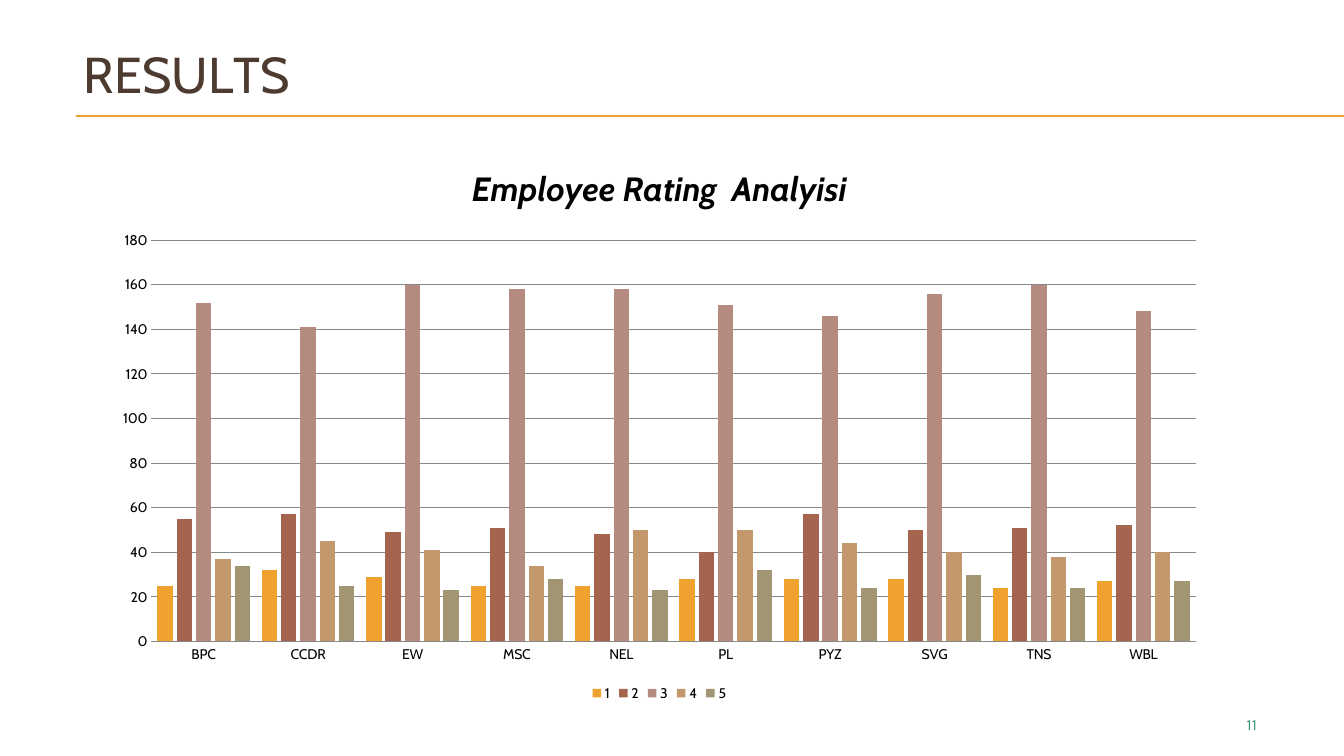
from pptx import Presentation
from pptx.chart.data import CategoryChartData
from pptx.dml.color import RGBColor
from pptx.enum.chart import XL_CHART_TYPE, XL_LEGEND_POSITION, XL_TICK_MARK
from pptx.enum.shapes import MSO_CONNECTOR
from pptx.enum.text import MSO_ANCHOR
from pptx.oxml.ns import qn
from pptx.util import Inches, Pt
from lxml import etree

COLUMNS = XL_CHART_TYPE.COLUMN_CLUSTERED
BOTTOM = XL_LEGEND_POSITION.BOTTOM
NO_TICK = XL_TICK_MARK.NONE
STRAIGHT = MSO_CONNECTOR.STRAIGHT
TOP, MIDDLE = MSO_ANCHOR.TOP, MSO_ANCHOR.MIDDLE

BLACK = RGBColor(0x00, 0x00, 0x00)
BROWN = RGBColor(0x4E, 0x3B, 0x30)
GREEN = RGBColor(0x2D, 0x93, 0x6B)
GREY = RGBColor(0x87, 0x87, 0x87)
AMBER = RGBColor(0xF0, 0xA2, 0x2E)
RUST = RGBColor(0xA5, 0x64, 0x4E)
ROSE = RGBColor(0xB5, 0x8B, 0x80)
TAN = RGBColor(0xC3, 0x98, 0x6D)
OLIVE = RGBColor(0xA1, 0x95, 0x74)

UNITS = ["BPC", "CCDR", "EW", "MSC", "NEL", "PL", "PYZ", "SVG", "TNS", "WBL"]
RATINGS = [
    ("1", AMBER, [25, 32, 29, 25, 25, 28, 28, 28, 24, 27]),
    ("2", RUST, [55, 57, 49, 51, 48, 40, 57, 50, 51, 52]),
    ("3", ROSE, [152, 141, 160, 158, 158, 151, 146, 156, 160, 148]),
    ("4", TAN, [37, 45, 41, 34, 50, 50, 44, 40, 38, 40]),
    ("5", OLIVE, [34, 25, 23, 28, 23, 32, 24, 30, 24, 27]),
]


class Deck:
    COLS, ROWS = 160, 90
    HEAD_FONT, NUMBER_FONT = "Cabin", "Karla"

    def __init__(self):
        self.prs = Presentation()
        self.prs.slide_width, self.prs.slide_height = Inches(13.33), Inches(7.5)
        self.s = self.prs.slides.add_slide(self.prs.slide_layouts[6])

    def grid(self, col, row):
        return (int(self.prs.slide_width * col / self.COLS),
                int(self.prs.slide_height * row / self.ROWS))

    def set_font(self, font, name, size, color):
        font.name, font.size = name, Pt(size)
        font.color.rgb = color

    def rule(self, row, color):
        line = self.s.shapes.add_connector(
            STRAIGHT, *self.grid(9, row), *self.grid(self.COLS, row))
        line.line.color.rgb = color
        line.line.width = Pt(0.75)
        etree.SubElement(line._element.spPr, qn("a:effectLst"))

    def text(self, col, row, cols, rows, runs, font, size, color, anchor=TOP):
        sp = self.s.shapes.add_textbox(*self.grid(col, row), *self.grid(cols, rows))
        tf = sp.text_frame
        tf.word_wrap = True
        tf.vertical_anchor = anchor
        tf.margin_left = tf.margin_right = tf.margin_bottom = 0
        tf.margin_top = Inches(0.01)
        p = tf.paragraphs[0]
        self.set_font(p.font, font, size, color)
        for words, spacing in runs:
            r = p.add_run()
            r.text = words
            r.font._element.set("spc", str(int(spacing * 100)))
        return p

    def column_chart(self, col, row, cols, rows, title, cats, series):
        data = CategoryChartData()
        data.categories = cats
        for name, _, values in series:
            data.add_series(name, values)
        chart = self.s.shapes.add_chart(
            COLUMNS, *self.grid(col, row), *self.grid(cols, rows), data).chart
        self.set_font(chart.font, self.HEAD_FONT, 10, BLACK)
        chart.has_title = True
        chart.chart_title.include_in_layout = False
        p = chart.chart_title.text_frame.paragraphs[0]
        p.text = title
        self.set_font(p.font, self.HEAD_FONT, 24, BLACK)
        p.font.bold = p.font.italic = True
        chart.has_legend = True
        chart.legend.position = BOTTOM
        chart.legend.include_in_layout = False
        plot = chart.plots[0]
        plot.gap_width, plot.overlap = 75, -25
        plot.vary_by_categories = False
        for bars, (_, color, _) in zip(plot.series, series):
            bars.format.fill.solid()
            bars.format.fill.fore_color.rgb = color
            bars.invert_if_negative = False
        for axis in (chart.category_axis, chart.value_axis):
            axis.major_tick_mark = axis.minor_tick_mark = NO_TICK
        chart.category_axis.format.line.color.rgb = GREY
        value_axis = chart.value_axis
        value_axis.minimum_scale, value_axis.maximum_scale = 0, 180
        value_axis.major_unit = 20
        value_axis.format.line.fill.background()
        value_axis.major_gridlines.format.line.color.rgb = GREY
        value_axis.major_gridlines.format.line.width = Pt(0.75)


def main():
    deck = Deck()
    for row in (13.8, 13.92):
        deck.rule(row, AMBER)
    title = deck.text(10, 4.9, 32, 7.5, [("RESU", 0), ("L", -4), ("TS", 0)],
                      deck.HEAD_FONT, 36, BROWN, MIDDLE)
    title.space_before = Pt(1.1)
    deck.column_chart(12, 17, 133, 67, "Employee Rating  Analyisi", UNITS, RATINGS)
    number = deck.text(148.4, 85, 3, 2.3, [("11", 0.1)], deck.NUMBER_FONT, 11, GREEN)
    number.space_before = Pt(0.6)
    deck.prs.save("out.pptx")


if __name__ == "__main__":
    main()
